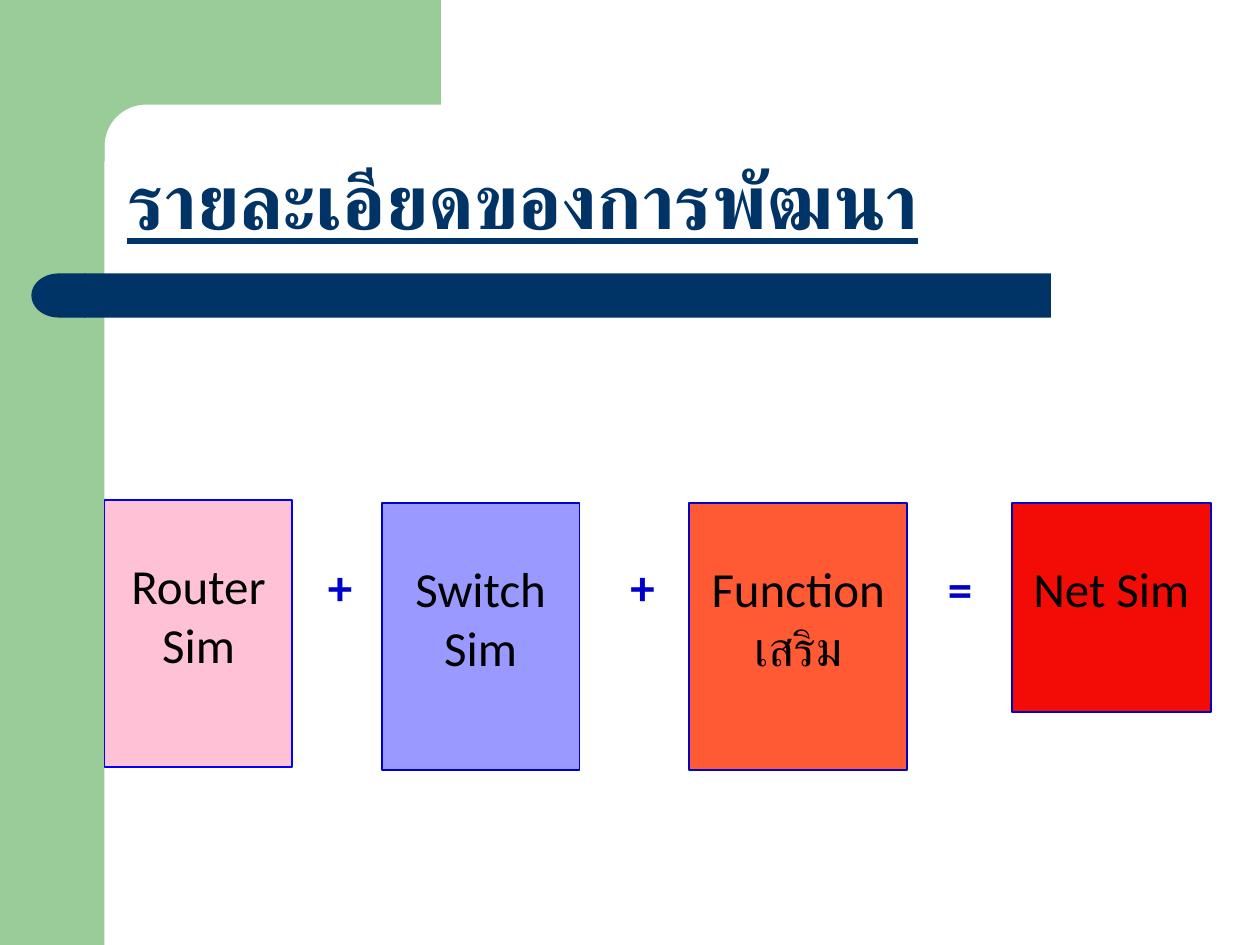
from math import cos, pi, sin

from pptx import Presentation
from pptx.dml.color import RGBColor
from pptx.enum.shapes import MSO_SHAPE as Preset
from pptx.enum.text import MSO_ANCHOR as Anchor, PP_ALIGN as Align
from pptx.util import Inches, Pt

COLUMNS, ROWS = 100, 75
GREEN, NAVY, BLUE = "99CC99", "003366", "0000CC"
CARD_TOP, CARD_HEIGHT = 39.9, 21.2
CARDS = [
    ("Router Sim", 8.3, 39.7, 14.9, CARD_HEIGHT, "FFC1D6", "0000FF"),
    ("Switch Sim", 30.3, CARD_TOP, 15.7, CARD_HEIGHT, "9999FF", BLUE),
    ("Function เสริม", 54.7, CARD_TOP, 17.3, CARD_HEIGHT, "FF5A33", BLUE),
    ("Net Sim", 80.3, CARD_TOP, 15.8, 16.6, "F30B05", BLUE),
]
SIGNS = [("+", 25, 43.7), ("+", 49, 43.7), ("=", 74.2, 43.8)]


def cells(count):
    return Inches(count * 10 / COLUMNS)


def place(left, top, width, height):
    return [cells(value) for value in (left, top, width, height)]


def color(code):
    return RGBColor.from_string(code)


def paint(shape, fill, line=None):
    shape.shadow.inherit = False
    shape.fill.solid()
    shape.fill.fore_color.rgb = color(fill)
    if line:
        shape.line.color.rgb = color(line)
        shape.line.width = Pt(1)
    else:
        shape.line.fill.background()


def write(shape, text, size=28, ink="000000", bold=False, underline=False,
          align=Align.CENTER, anchor=Anchor.TOP, wrap=True, spacing=1.0,
          insets=(1, 0.5, 1, 0.5)):
    frame = shape.text_frame
    frame.word_wrap = wrap
    frame.vertical_anchor = anchor
    (frame.margin_left, frame.margin_top,
     frame.margin_right, frame.margin_bottom) = [cells(inset) for inset in insets]
    para = frame.paragraphs[0]
    para.alignment = align
    para.line_spacing = spacing
    span = para.add_run()
    span.text = text
    font = span.font
    font.name, font.size = "Calibri", Pt(size)
    font.bold, font.underline = bold, underline
    font.color.rgb = color(ink)


def add_block(page, preset, area, fill, line=None):
    block = page.shapes.add_shape(preset, *place(*area))
    paint(block, fill, line)
    return block


def add_corner(page, radius=3.3, steps=16):
    inner_left, inner_top = 8.3, 8.3
    angles = [pi / 2 * step / steps for step in range(steps + 1)]
    arc = [(inner_left + radius * (1 - sin(angle)),
            inner_top + radius * (1 - cos(angle))) for angle in angles]
    outline = [(35, 0), (35, inner_top), *arc, (inner_left, 12.8), (5, 12.8), (5, 0)]
    points = [(cells(x), cells(y)) for x, y in outline]
    builder = page.shapes.build_freeform(*points[0])
    builder.add_line_segments(points[1:], close=True)
    paint(builder.convert_to_shape(), GREEN)


def add_decoration(page):
    add_block(page, Preset.RECTANGLE, (0, 0, 8.3, ROWS), GREEN)
    add_corner(page)
    bar = add_block(page, Preset.ROUNDED_RECTANGLE, (6.7, 21.7, 76.7, 3.5), NAVY)
    bar.adjustments[0] = 0
    cap = add_block(page, Preset.FLOWCHART_DELAY, (2.5, 21.7, 4.3, 3.5), NAVY)
    cap.element.spPr.xfrm.set("flipH", "1")


def add_title(page, text):
    title = page.shapes.title
    title.left, title.top, title.width, title.height = place(9.1, 9.1, 85.1, 10.9)
    write(title, text, size=44, ink=NAVY, bold=True, underline=True,
          align=Align.LEFT, anchor=Anchor.BOTTOM, spacing=0.9)
    title.element.getparent().append(title.element)


def add_card(page, text, left, top, width, height, fill, line):
    card = add_block(page, Preset.RECTANGLE, (left, top, width, height), fill, line)
    write(card, text, insets=(1, 4.4, 1, 0.5))


def add_sign(page, text, left, top):
    box = page.shapes.add_textbox(*place(left, top, 3.2, 5.7))
    write(box, text, ink=BLUE, bold=True, wrap=False, insets=(1, 0.5, 0.2, 0.5))


def main():
    deck = Presentation()
    deck.slide_width, deck.slide_height = cells(COLUMNS), cells(ROWS)
    page = deck.slides.add_slide(deck.slide_layouts[5])
    add_decoration(page)
    add_title(page, "รายละเอียดของการพัฒนา")
    for card in CARDS:
        add_card(page, *card)
    for sign in SIGNS:
        add_sign(page, *sign)
    deck.save("out.pptx")


if __name__ == "__main__":
    main()
